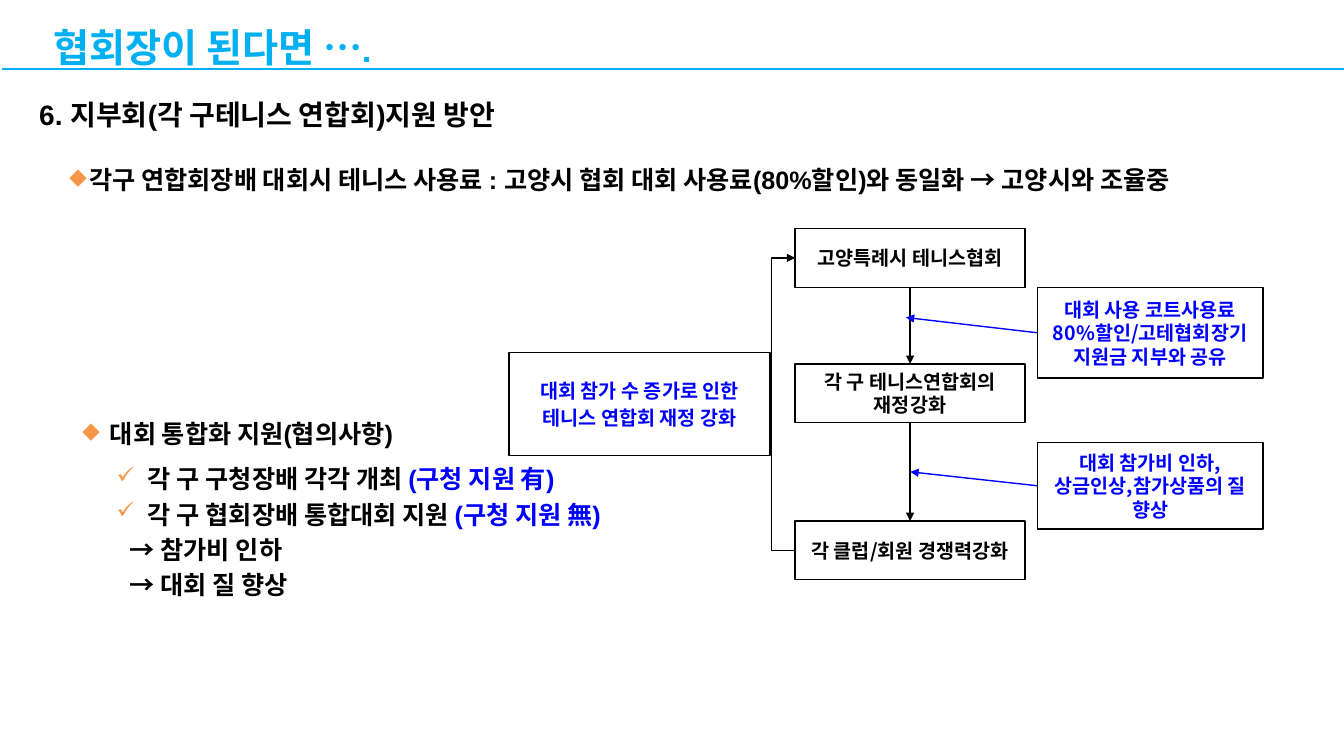
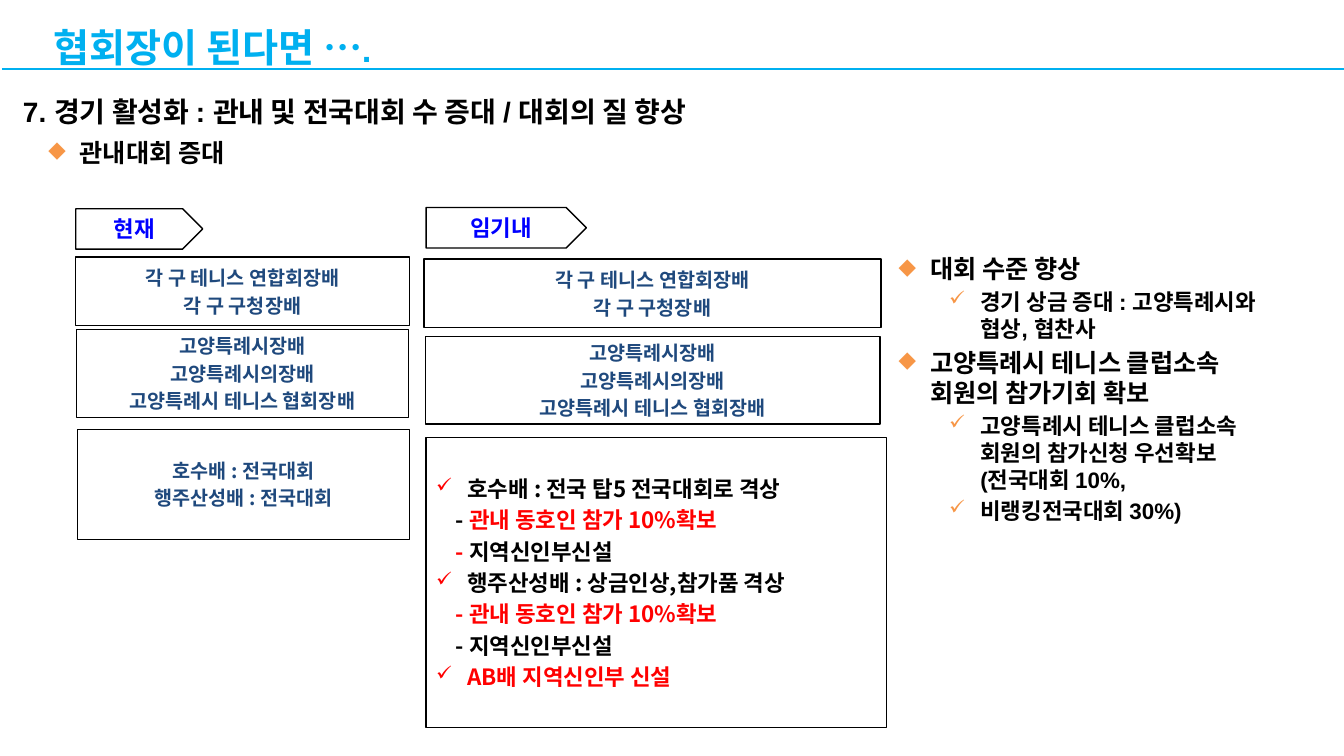
from collections import namedtuple

from lxml.etree import SubElement
from pptx import Presentation
from pptx.dml.color import RGBColor
from pptx.enum.shapes import MSO_CONNECTOR, MSO_SHAPE
from pptx.enum.text import MSO_ANCHOR, MSO_AUTO_SIZE, PP_ALIGN
from pptx.oxml.ns import qn
from pptx.util import Cm, Pt

SKY = RGBColor(0x00, 0xB0, 0xF0)
BLACK = RGBColor(0x00, 0x00, 0x00)
WHITE = RGBColor(0xFF, 0xFF, 0xFF)
BLUE = RGBColor(0x00, 0x00, 0xFF)
NAVY = RGBColor(0x1F, 0x49, 0x7D)
RED = RGBColor(0xFF, 0x00, 0x00)
ORANGE = RGBColor(0xF7, 0x96, 0x46)

KOREAN = "Noto Sans CJK KR"
HANG = 0.79  # cm

Style = namedtuple("Style", "size colour font left bullet bullet_colour align",
                   defaults=(BLACK, "Arial", 0, None, ORANGE, PP_ALIGN.LEFT))

TITLE = Style(28, SKY, "Cabin")
HEADING = Style(20)
POINT = Style(18, left=0.5, bullet="◆")
POINT_WIDE = POINT._replace(left=0.69)
POINT_DEEP = POINT._replace(left=2.06)
CHECK = Style(18, left=2.01, bullet="✓")
CHECK_DEEP = Style(16, left=3.33, bullet="✓")
RESULT = Style(18, left=1.55)
BOX = Style(14, font=KOREAN, align=PP_ALIGN.CENTER)
BOX_BLUE = BOX._replace(colour=BLUE)
BOX_NAVY = BOX._replace(colour=NAVY)
PLATE = BOX_BLUE._replace(size=16)
GOAL = Style(16, font=KOREAN, left=HANG, bullet="✓", bullet_colour=RED)
GOAL_RED = GOAL._replace(colour=RED)
DETAIL = Style(16, font=KOREAN, left=0.5)
DETAIL_RED = DETAIL._replace(colour=RED)

TITLE_TEXT = "협회장이 된다면 …."

# Text blocks: (left, top, width, height) in cm, then (style, text or coloured runs)
SUPPORT_TEXTS = [
    ((0.74, 2.34, 17, 1.12), [(HEADING, "6. 지부회(각 구테니스 연합회)지원 방안")]),
    ((1.5, 4.01, 31, 1.8), [
        (POINT, "각구 연합회장배 대회시 테니스 사용료 : 고양시 협회 대회 사용료"
                "(80%할인)와 동일화 → 고양시와 조율중")]),
    ((1.83, 10.41, 31, 1.02), [(POINT_WIDE, "대회 통합화 지원(협의사항)")]),
    ((1.47, 11.56, 16.4, 4.72), [
        (CHECK, [("각 구 구청장배 각각 개최 ", BLACK), ("(구청 지원 有)", BLUE)]),
        (CHECK, [("각 구 협회장배 통합대회 지원 ", BLACK), ("(구청 지원 無)", BLUE)]),
        (RESULT, "→ 참가비 인하"),
        (RESULT, "→ 대회 질 향상"),
    ]),
]
FLOW_LEFT, FLOW_WIDTH, FLOW_HEIGHT = 20.04, 5.79, 1.48
FLOW = [
    (5.76, "고양특례시 테니스협회"),
    (9.17, "각 구 테니스연합회의 재정강화"),
    (13.13, "각 클럽/회원 경쟁력강화"),
]
# Callouts: place, text, arrow target
CALLOUTS = [
    ((26.14, 7.24, 5.69, 2.29),
     "대회 사용 코트사용료 80%할인/고테협회장기 지원금 지부와 공유", (22.83, 8.0)),
    ((26.14, 11.15, 5.69, 2.18),
     "대회 참가비 인하, 상금인상,참가상품의 질 향상", (22.94, 11.89)),
]
FEEDBACK_PLACE = (12.83, 8.89, 6.58, 2.59)
FEEDBACK = ["대회 참가 수 증가로 인한", "테니스 연합회 재정 강화"]
FEEDBACK_OFFSET = 0.61

GROWTH_TEXTS = [
    ((0.33, 2.26, 28.2, 1.12),
     [(HEADING, "7. 경기 활성화 : 관내 및 전국대회 수 증대 / 대회의 질 향상")]),
    ((-0.3, 3.33, 6.7, 1.02), [(POINT_DEEP, "관내대회 증대")]),
    ((21.13, 6.27, 11.6, 7.24), [
        (POINT_DEEP, "대회 수준 향상"),
        (CHECK_DEEP, "경기 상금 증대 : 고양특례시와 협상, 협찬사"),
        (POINT_DEEP, "고양특례시 테니스 클럽소속 회원의 참가기회 확보"),
        (CHECK_DEEP, "고양특례시 테니스 클럽소속 회원의 참가신청 우선확보 (전국대회 10%,"),
        (CHECK_DEEP, "비랭킹전국대회 30%)"),
    ]),
]
PLATES = [((1.91, 5.26, 3.2, 1.02), "현재"), ((10.74, 5.23, 4.04, 1.02), "임기내")]
DISTRICT_CUPS = [(BOX_NAVY, line) for line in ("각 구 테니스 연합회장배", "각 구 구청장배")]
CITY_CUPS = [(BOX_NAVY, line) for line in
             ("고양특례시장배", "고양특례시의장배", "고양특례시 테니스 협회장배")]
NATIONAL_CUPS = [(BOX_NAVY, line) for line in
                 ("호수배 : 전국대회", "행주산성배 : 전국대회")]
GOALS = [
    (GOAL, "호수배 : 전국 탑5 전국대회로 격상"),
    (DETAIL, [("- ", BLACK), ("관내 동호인 참가 10%확보", RED)]),
    (DETAIL, [("- ", RED), ("지역신인부신설", BLACK)]),
    (GOAL, "행주산성배 : 상금인상,참가품 격상"),
    (DETAIL_RED, "- 관내 동호인 참가 10%확보"),
    (DETAIL, "- 지역신인부신설"),
    (GOAL_RED, "AB배 지역신인부 신설"),
]
CUP_BOXES = [
    ((1.91, 6.48, 8.41, 1.73), DISTRICT_CUPS),
    ((1.93, 8.31, 8.36, 2.21), CITY_CUPS),
    ((1.96, 10.82, 8.36, 2.77), NATIONAL_CUPS),
    ((10.69, 6.53, 11.51, 1.73), DISTRICT_CUPS),
    ((10.72, 8.48, 11.46, 2.21), CITY_CUPS),
    ((10.74, 11.02, 11.61, 7.32), GOALS),
]


def cms(values):
    return [Cm(value) for value in values]


def format_para(para, style):
    para.alignment = style.align
    para.space_before = Pt(style.size * 0.2)
    props = para._p.get_or_add_pPr()
    props.set("marL", str(Cm(style.left)))
    props.set("indent", str(Cm(-HANG if style.bullet else 0)))
    if style.bullet:
        colour = SubElement(props, qn("a:buClr"))
        SubElement(colour, qn("a:srgbClr"), val=str(style.bullet_colour))
        SubElement(props, qn("a:buSzPct"), val="90000")
        SubElement(props, qn("a:buChar"), char=style.bullet)
    else:
        SubElement(props, qn("a:buNone"))
    para.font.name = style.font
    para.font.size = Pt(style.size)
    para.font.bold = True
    para.font.color.rgb = style.colour
    SubElement(props.find(qn("a:defRPr")), qn("a:ea"), typeface=KOREAN)


def write(frame, lines):
    for index, (style, content) in enumerate(lines):
        para = frame.add_paragraph() if index else frame.paragraphs[0]
        format_para(para, style)
        if isinstance(content, str):
            para.add_run().text = content
            continue
        for text, colour in content:
            span = para.add_run()
            span.text = text
            span.font.color.rgb = colour


def add_text(page, place, lines):
    frame = page.shapes.add_textbox(*cms(place)).text_frame
    frame.word_wrap = True
    write(frame, lines)


def add_box(page, place, lines, fill=None, preset=MSO_SHAPE.RECTANGLE):
    box = page.shapes.add_shape(preset, *cms(place))
    box.shadow.inherit = False
    if fill is None:
        box.fill.background()
    else:
        box.fill.solid()
        box.fill.fore_color.rgb = fill
    box.line.color.rgb = BLACK
    box.line.width = Pt(1)
    box.text_frame.word_wrap = True
    box.text_frame.vertical_anchor = MSO_ANCHOR.MIDDLE
    write(box.text_frame, lines)
    return box


def add_line(page, start, end, colour=BLACK, width=1, arrow=True,
             kind=MSO_CONNECTOR.STRAIGHT):
    line = page.shapes.add_connector(kind, *cms(start + end))
    line.line.color.rgb = colour
    line.line.width = Pt(width)
    if arrow:
        SubElement(line.line._get_or_add_ln(), qn("a:tailEnd"), type="triangle")
    SubElement(line._element.spPr, qn("a:effectLst"))
    return line


def add_page(deck, texts):
    """Add a slide with the shared title and rule, then its text blocks."""
    page = deck.slides.add_slide(deck.slide_layouts[5])
    add_line(page, (0.05, 1.73), (33.87, 1.73), SKY, 1.5, arrow=False)
    title = page.shapes.title
    title.left, title.top, title.width, title.height = cms((1.14, 0.53, 8.94, 1.3))
    frame = title.text_frame
    frame.margin_left = frame.margin_right = Cm(0.2)
    frame.margin_top = frame.margin_bottom = Cm(0.05)
    frame.word_wrap = False
    frame.auto_size = MSO_AUTO_SIZE.NONE
    frame.vertical_anchor = MSO_ANCHOR.TOP
    write(frame, [(TITLE, TITLE_TEXT)])
    for place, lines in texts:
        add_text(page, place, lines)
    return page


def add_feedback_arrow(page):
    """Lead from the last flow box back up to the first, along their left side."""
    gap = 0.02
    top, bottom = (FLOW[i][0] + FLOW_HEIGHT / 2 for i in (0, -1))
    elbow = add_line(page, (FLOW_LEFT + gap, bottom), (FLOW_LEFT, top),
                     kind=MSO_CONNECTOR.ELBOW)
    geometry = elbow._element.spPr.find(qn("a:prstGeom"))
    guides = geometry.find(qn("a:avLst"))
    if guides is None:
        guides = SubElement(geometry, qn("a:avLst"))
    bend = round(FEEDBACK_OFFSET / gap * 100000)
    SubElement(guides, qn("a:gd"), name="adj1", fmla=f"val {bend}")


def build_support(deck):
    page = add_page(deck, SUPPORT_TEXTS)
    boxes = [add_box(page, (FLOW_LEFT, top, FLOW_WIDTH, FLOW_HEIGHT), [(BOX, text)])
             for top, text in FLOW]
    centre = FLOW_LEFT + FLOW_WIDTH / 2
    for index in range(len(boxes) - 1):
        arrow = add_line(page, (centre, FLOW[index][0] + FLOW_HEIGHT),
                         (centre, FLOW[index + 1][0]))
        arrow.begin_connect(boxes[index], 2)
        arrow.end_connect(boxes[index + 1], 0)
    for place, text, target in CALLOUTS:
        add_box(page, place, [(BOX_BLUE, text)])
        left, top, _, height = place
        add_line(page, (left, top + height / 2), target, BLUE)
    add_feedback_arrow(page)
    add_box(page, FEEDBACK_PLACE, [(BOX_BLUE, line) for line in FEEDBACK])


def build_growth(deck):
    page = add_page(deck, GROWTH_TEXTS)
    for place, text in PLATES:
        add_box(page, place, [(PLATE, text)], preset=MSO_SHAPE.PENTAGON)
    for place, lines in CUP_BOXES:
        add_box(page, place, lines, WHITE)


def main():
    deck = Presentation()
    deck.slide_width, deck.slide_height = Cm(33.87), Cm(19.05)
    build_support(deck)
    build_growth(deck)
    deck.save("out.pptx")


if __name__ == "__main__":
    main()
